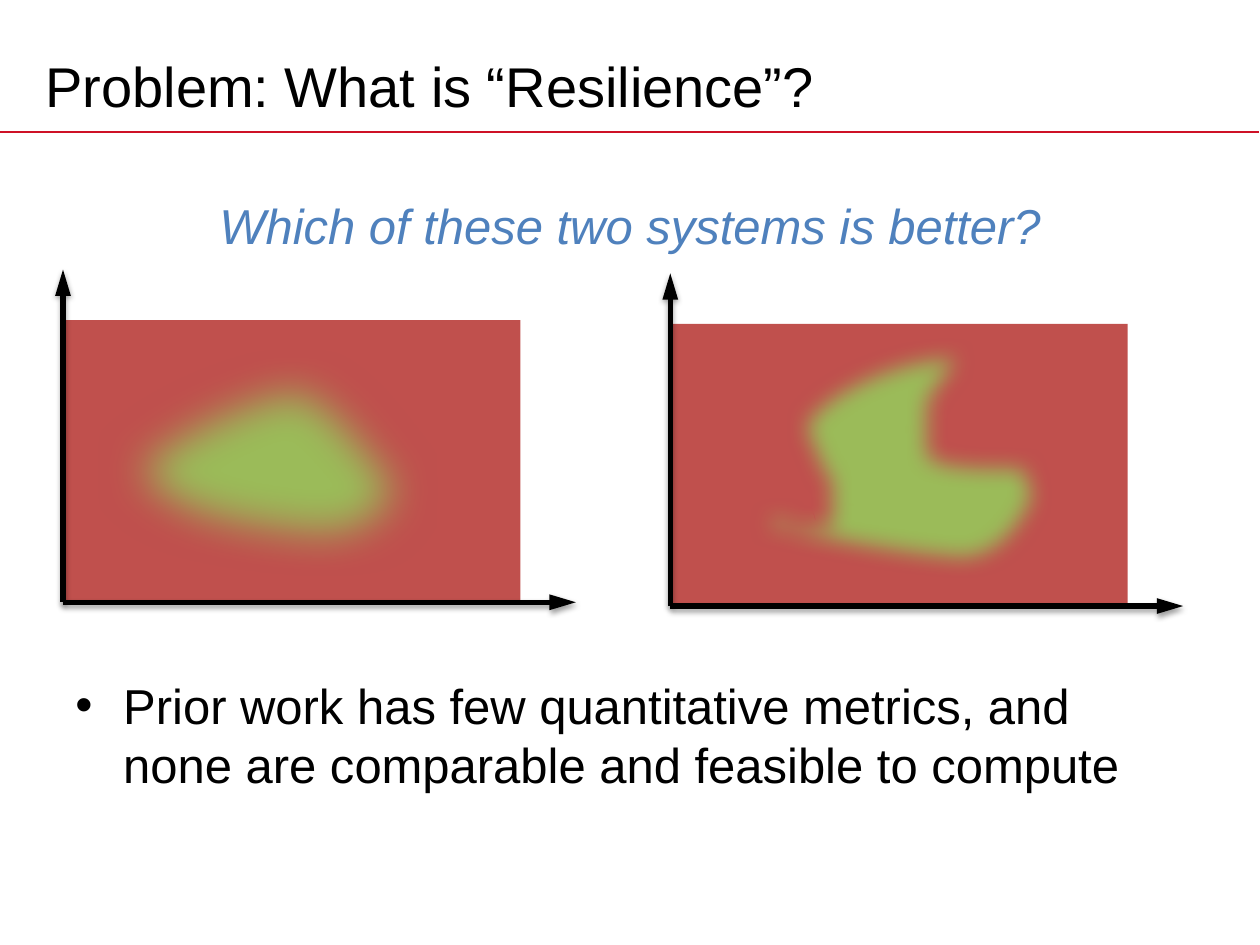
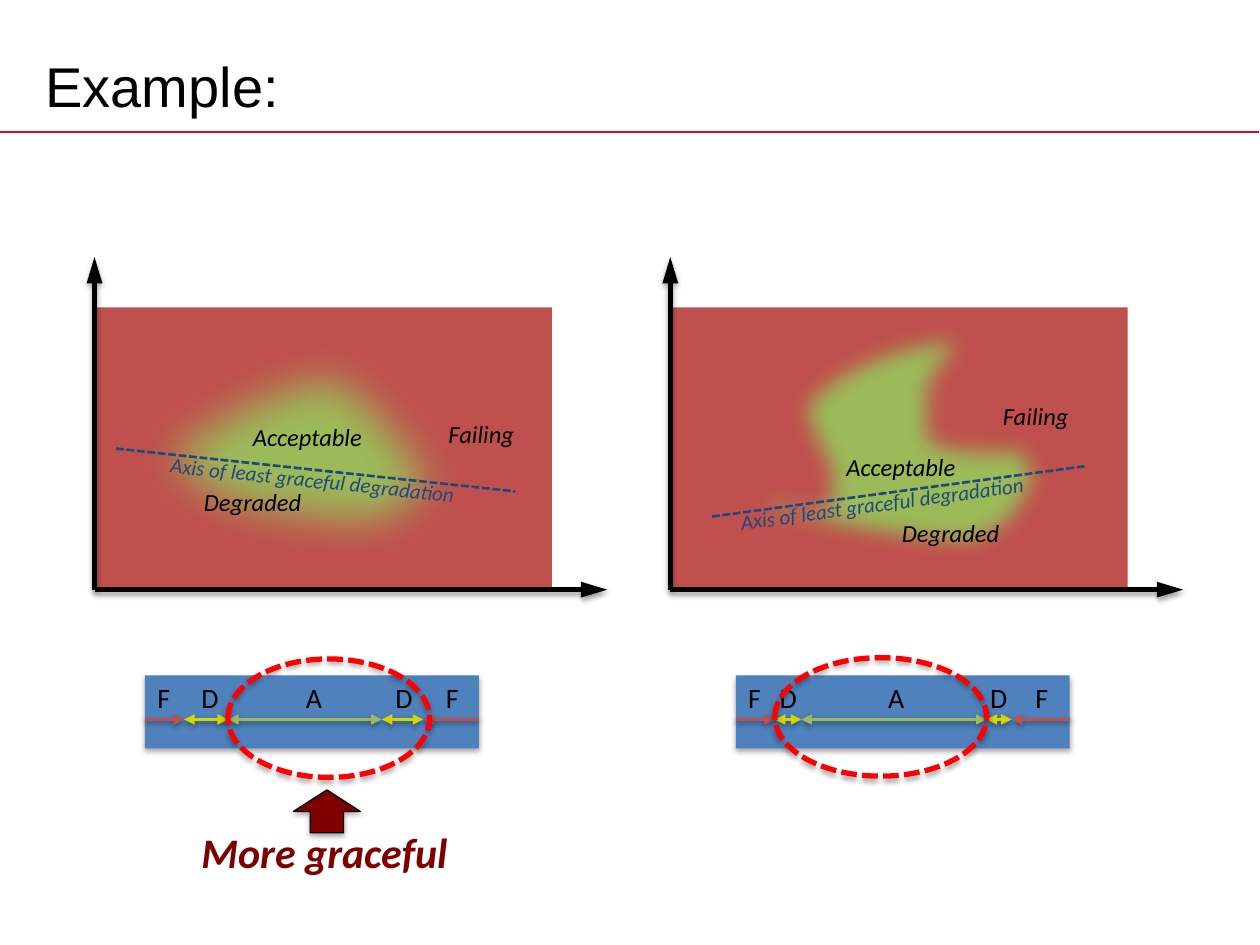
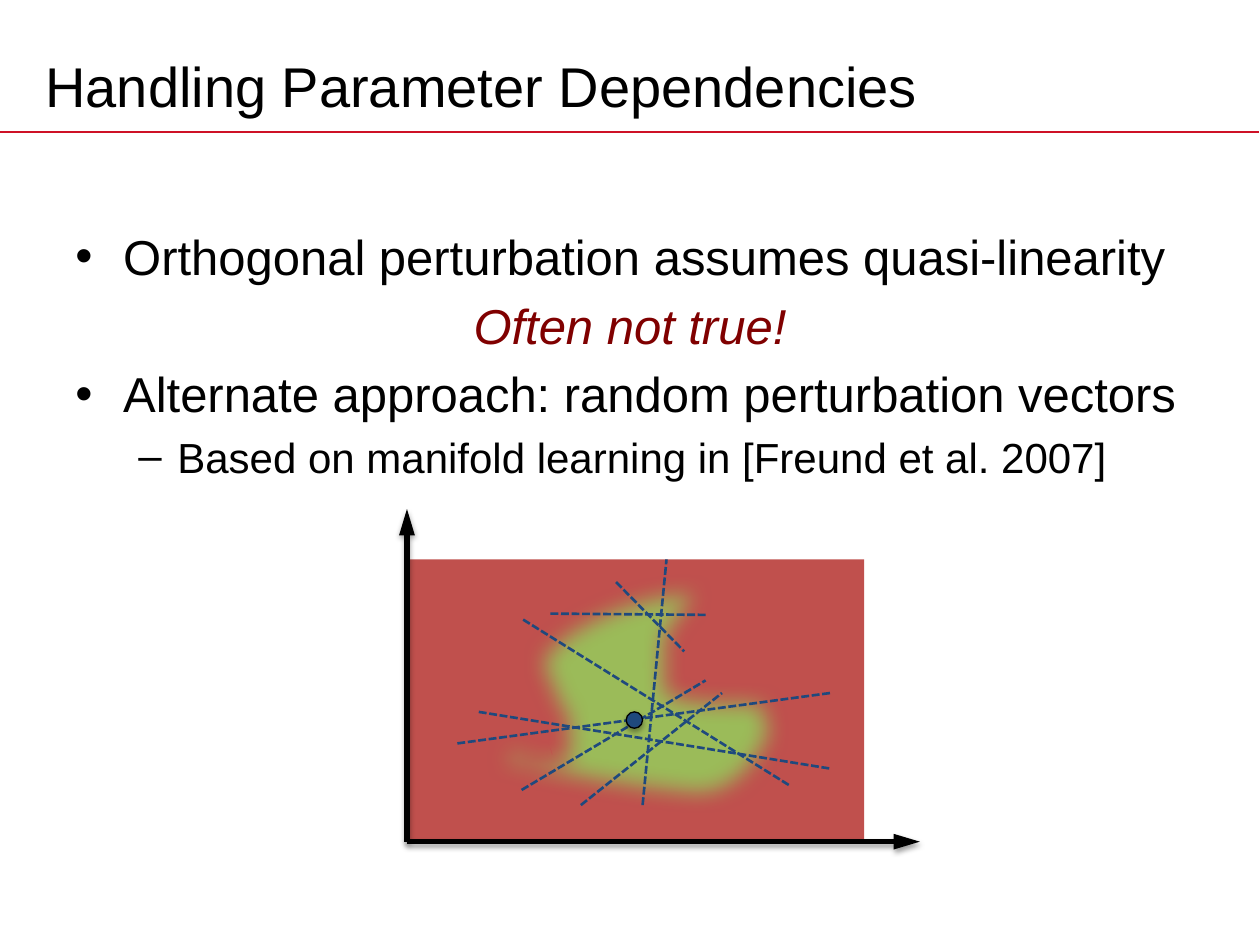
from lxml import etree
from pptx import Presentation
from pptx.dml.color import RGBColor
from pptx.enum.dml import MSO_LINE
from pptx.enum.shapes import MSO_CONNECTOR, MSO_SHAPE
from pptx.enum.text import MSO_ANCHOR, MSO_AUTO_SIZE, PP_ALIGN
from pptx.oxml.ns import qn
from pptx.util import Inches, Pt

STRAIGHT = MSO_CONNECTOR.STRAIGHT
RECT, OVAL, UP = MSO_SHAPE.RECTANGLE, MSO_SHAPE.OVAL, MSO_SHAPE.UP_ARROW
DASH = MSO_LINE.SQUARE_DOT
LEFT, MID = PP_ALIGN.LEFT, PP_ALIGN.CENTER
CENTER, FIT = MSO_ANCHOR.MIDDLE, MSO_AUTO_SIZE.SHAPE_TO_FIT_TEXT

BLACK, RULE, DARK = "000000", "CE1126", "800000"
RED, GREEN, BLUE = "C0504D", "9BBB59", "4F81BD"
NAVY, YELLOW, BRIGHT = "1F497D", "D5D500", "FF0000"


def paint(shape, fill=None, line=None, width=1, dash=None, head=None, tail=None,
          shade=0, soft=0):
    if hasattr(shape, "fill"):
        if fill:
            shape.fill.solid()
            shape.fill.fore_color.rgb = RGBColor.from_string(fill)
        else:
            shape.fill.background()
    if line:
        shape.line.color.rgb = RGBColor.from_string(line)
        shape.line.width = Pt(width)
        if dash:
            shape.line.dash_style = dash
    else:
        shape.line.fill.background()
    props = shape._element.spPr
    for size, tag in ((head, "a:headEnd"), (tail, "a:tailEnd")):
        if size:
            etree.SubElement(props.find(qn("a:ln")), qn(tag), type="triangle", len=size)
    fx = etree.SubElement(props, qn("a:effectLst"))
    if shade:
        cast = etree.SubElement(fx, qn("a:outerShdw"), blurRad="40000", dir="5400000",
                                dist="20000" if line else "23000", rotWithShape="0")
        tone = etree.SubElement(cast, qn("a:srgbClr"), val=BLACK)
        etree.SubElement(tone, qn("a:alpha"), val=str(shade * 1000))
    if soft:
        etree.SubElement(fx, qn("a:softEdge"), rad=str(Pt(soft)))


def write(frame, text, size=28, color=BLACK, font="Arial", bold=False, italic=False,
          align=LEFT, bullet=None, left=0.38, hang=0.38, gap=0):
    para = frame.paragraphs[0]
    if para.text:
        para = frame.add_paragraph()
    para.alignment = align
    para.space_before = Pt(gap)
    if bullet:
        props = para._p.get_or_add_pPr()
        props.set("marL", str(Inches(left)))
        props.set("indent", str(-Inches(hang)))
        etree.SubElement(props, qn("a:buFont"), typeface="Arial")
        etree.SubElement(props, qn("a:buChar"), char=bullet)
    run = para.add_run()
    run.text = text
    run.font.size = Pt(size)
    run.font.name = font
    run.font.bold = bold
    run.font.italic = italic
    run.font.color.rgb = RGBColor.from_string(color)


deck = Presentation()
deck.slide_width, deck.slide_height = Inches(10), Inches(7.5)

slides = []
for name in ("Problem: What is “Resilience”?", "Example:", "Handling Parameter Dependencies"):
    slide = deck.slides.add_slide(deck.slide_layouts[5])
    rule = slide.shapes.add_connector(STRAIGHT, 0, Inches(1.05), Inches(9.99), Inches(1.05))
    paint(rule, line=RULE)
    title = slide.shapes.title
    title.left, title.top, title.width, title.height = map(Inches, (0.26, 0.3, 9, 0.75))
    title.text_frame.vertical_anchor = CENTER
    write(title.text_frame, name, size=32)
    slides.append(slide)
first, second, third = slides

ROUND = [(2.88, 1.36),
         (2.65, 1.66), (2.43, 1.96), (2.11, 2.04),
         (1.79, 2.12), (1.29, 1.98), (0.96, 1.83),
         (0.63, 1.69), (0.17, 1.4), (0.13, 1.15),
         (0.09, 0.91), (0.31, 0.54), (0.72, 0.39),
         (1.13, 0.23), (2.21, 0.13), (2.61, 0.24),
         (3.02, 0.34), (3.15, 1.01), (3.15, 1.01)]
BENT = [(2.97, 1.26),
        (2.97, 1.27), (2.27, 1.23), (2.21, 1.37),
        (2.14, 1.5), (2.65, 1.94), (2.56, 2.06),
        (2.47, 2.17), (1.94, 2.15), (1.66, 2.06),
        (1.38, 1.98), (0.97, 1.78), (0.89, 1.55),
        (0.8, 1.32), (1.13, 0.79), (1.15, 0.7),
        (1.16, 0.6), (1.1, 0.99), (0.97, 0.96),
        (0.85, 0.94), (0.14, 0.67), (0.4, 0.55),
        (0.65, 0.42), (2.06, 0.16), (2.51, 0.22),
        (2.96, 0.27), (3.09, 0.87), (3.09, 0.87)]

plots = [(first, 0.5, 4.78, ROUND, 25), (first, 5.32, 4.81, BENT, 12.5),
         (second, 0.75, 4.68, ROUND, 25), (second, 5.32, 4.68, BENT, 12.5),
         (third, 3.23, 6.68, BENT, 12.5)]
for slide, x, y, curve, soft in plots:
    field = slide.shapes.add_shape(RECT, Inches(x), Inches(y - 2.24), Inches(3.63), Inches(2.24))
    paint(field, fill=RED)
    start, *dots = [(Inches(x + across), Inches(y - above)) for across, above in curve]
    pen = slide.shapes.build_freeform(*start)
    pen.add_line_segments(dots, close=False)
    blob = pen.convert_to_shape()
    legs = list(blob._element.iter(qn("a:lnTo")))
    for i in range(0, len(legs), 3):
        bend = etree.Element(qn("a:cubicBezTo"))
        legs[i].addprevious(bend)
        for leg in legs[i:i + 3]:
            bend.append(leg[0])
            leg.getparent().remove(leg)
    paint(blob, fill=GREEN, soft=soft)
    for right, rise in ((4.07, 0), (0, 2.64)):
        axis = slide.shapes.add_connector(STRAIGHT, Inches(x), Inches(y),
                                          Inches(x + right), Inches(y - rise))
        paint(axis, line=BLACK, width=3, tail="lg", shade=38)

dashes = [(second, 0.92, 3.56, 4.09, 3.9), (second, 5.65, 4.1, 8.61, 3.7),
          (third, 3.63, 5.9, 6.59, 5.5), (third, 5.1, 6.39, 5.29, 4.44),
          (third, 4.61, 6.39, 5.73, 5.5), (third, 6.26, 6.23, 4.14, 4.91),
          (third, 5.6, 4.88, 4.35, 4.87), (third, 3.8, 5.65, 6.59, 6.1),
          (third, 4.89, 4.62, 5.43, 5.17), (third, 4.14, 6.27, 5.6, 5.4)]
for slide, *ends in dashes:
    paint(slide.shapes.add_connector(STRAIGHT, *map(Inches, ends)),
          line=NAVY, width=1.5, dash=DASH)

AXIS = "Axis of least graceful degradation"
word = dict(size=14, italic=True)
mid = dict(word, align=MID)
note = dict(size=12, italic=True, color=NAVY)
mark = dict(size=16)
labels = [("Acceptable", 1.88, 3.3, 1.12, 0.34, 0, mid),
          ("Degraded", 1.52, 3.82, 1.03, 0.34, 0, word),
          ("Failing", 3.43, 3.28, 0.78, 0.34, 0, mid),
          ("Acceptable", 6.59, 3.54, 1.12, 0.34, 0, mid),
          ("Degraded", 7.06, 4.06, 1.03, 0.34, 0, word),
          ("Failing", 7.83, 3.13, 0.78, 0.34, 0, mid),
          (AXIS, 1.25, 3.66, 2.52, 0.3, 6, note),
          (AXIS, 5.77, 3.84, 2.52, 0.3, 352.3, note),
          ("More graceful", 1.5, 6.51, 2.26, 0.5, 0,
           dict(size=24, color=DARK, bold=True, italic=True))]

strips = [(1.15, (0, 0.31, 0.66, 1.88, 2.21, 2.65), (0, 0.35, 1.18, 1.89, 2.29)),
          (5.84, (0, 0.31, 0.52, 1.99, 2.19, 2.65), (0, 0.25, 1.11, 1.92, 2.28))]
tones = (RED, YELLOW, GREEN, YELLOW, RED)
for x, cuts, spots in strips:
    band = second.shapes.add_shape(RECT, Inches(x), Inches(5.36), Inches(2.65), Inches(0.58))
    paint(band, fill=BLUE, shade=35)
    for i, tone in enumerate(tones):
        span = second.shapes.add_connector(STRAIGHT, Inches(x + cuts[i]), Inches(5.71),
                                           Inches(x + cuts[i + 1]), Inches(5.71))
        paint(span, line=tone, width=2, head="med" if i > 0 else None,
              tail="med" if i < 4 else None, shade=38)
        labels.append(("FDADF"[i], x + spots[i], 5.35, 0.33, 0.37, 0, mark))

for text, x, y, wide, high, turn, form in labels:
    box = second.shapes.add_textbox(*map(Inches, (x, y, wide, high)))
    box.rotation = turn
    box.text_frame.word_wrap = False
    box.text_frame.auto_size = FIT
    write(box.text_frame, text, font="Calibri", **form)

ring = dict(line=BRIGHT, width=3, dash=DASH, shade=35)
marks = [(second, OVAL, 1.81, 5.23, 1.6, 0.94, ring),
         (second, OVAL, 6.15, 5.22, 1.68, 0.94, ring),
         (second, UP, 2.33, 6.27, 0.53, 0.34, dict(fill=DARK, line=BLACK, width=0.75, shade=35)),
         (third, OVAL, 4.97, 5.65, 0.13, 0.13, dict(fill=NAVY, line=BLACK, width=0.75, shade=35))]
for slide, kind, *place, form in marks:
    paint(slide.shapes.add_shape(kind, *map(Inches, place)), **form)

point = dict(bullet="•", gap=5.6)
aside = dict(italic=True, align=MID, gap=5.6)
bodies = [(first, 1.5, 0.6,
           [("Which of these two systems is better?", dict(aside, color=BLUE))]),
          (first, 5.31, 1.14,
           [("Prior work has few quantitative metrics, and none are comparable "
             "and feasible to compute", point)]),
          (third, 1.75, 2.2,
           [("Orthogonal perturbation assumes quasi-linearity", point),
            ("Often not true!", dict(aside, color=DARK)),
            ("Alternate approach: random perturbation vectors", point),
            ("Based on manifold learning in [Freund et al. 2007]",
             dict(size=24, bullet="–", left=0.81, hang=0.31, gap=4.8))])]
for slide, y, high, lines in bodies:
    box = slide.shapes.add_textbox(Inches(0.5), Inches(y), Inches(9), Inches(high))
    box.text_frame.word_wrap = True
    for text, form in lines:
        write(box.text_frame, text, **form)

deck.save("out.pptx")
